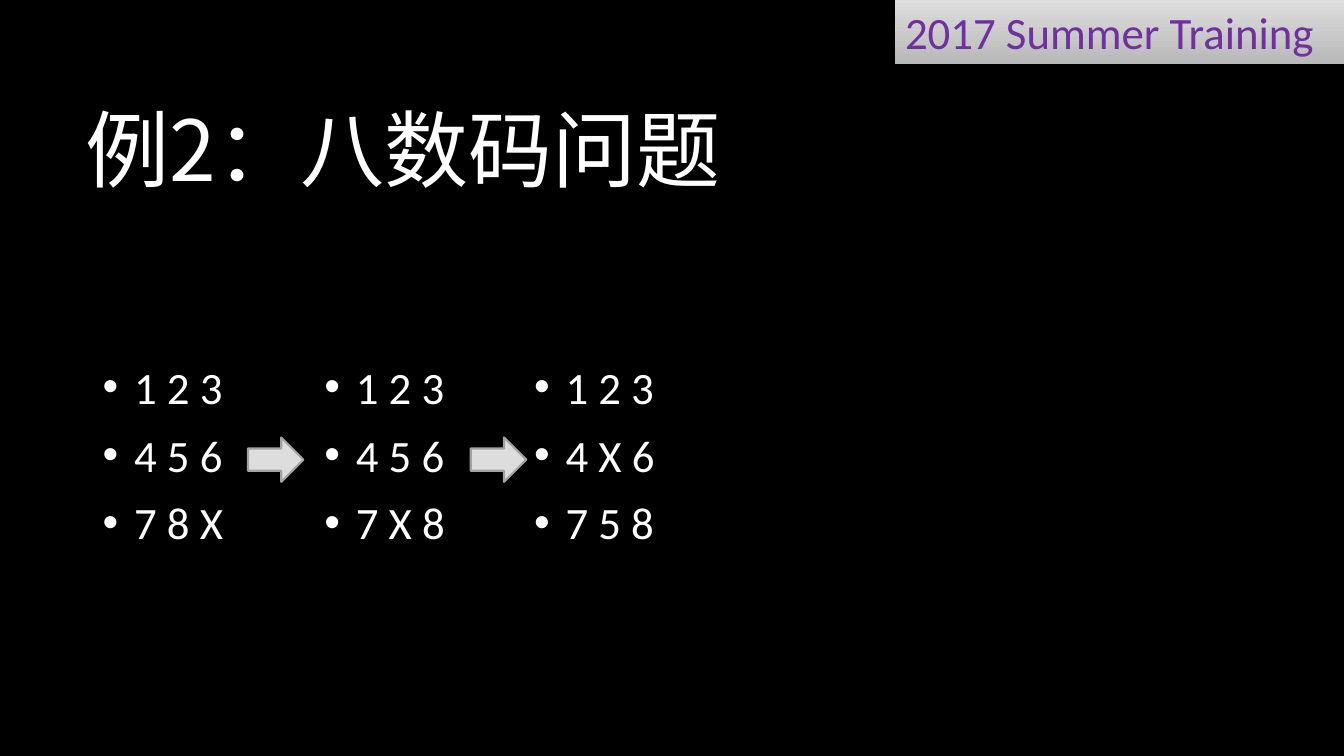
from dataclasses import dataclass

from lxml import etree
from pptx import Presentation
from pptx.dml.color import RGBColor
from pptx.enum import shapes, text
from pptx.oxml import ns
from pptx.util import Pt


@dataclass(frozen=True)
class Theme:
    back: str = "000000"
    ink: str = "FFFFFF"
    label: str = "7030A0"
    light: str = "DEDEDE"
    dark: str = "B8B8B8"
    arrow: str = "DDDDDD"
    edge: str = "A3A3A3"
    font: str = "Calibri"
    cjk: str = "Noto Sans CJK JP"
    head: int = 60
    body: int = 32


THEME = Theme()
BOARDS = [
    (66.24, ["1 2 3", "4 5 6", "7 8 X"]),
    (224.64, ["1 2 3", "4 5 6", "7 X 8"]),
    (374.4, ["1 2 3", "4 X 6", "7 5 8"]),
]
ARROWS = [177.12, 336.24]


def apply(item, values):
    for name, value in values.items():
        setattr(item, name, value)


def place(shape, left, top, width, height):
    apply(shape, {"left": Pt(left), "top": Pt(top),
                  "width": Pt(width), "height": Pt(height)})


def node(parent, tag, **attrs):
    child = etree.SubElement(parent, ns.qn(tag))
    for key, value in attrs.items():
        child.set(key, str(value))
    return child


def write(para, words, size, color, font):
    run = para.add_run()
    run.text = words
    apply(run.font, {"size": Pt(size), "name": font, "bold": False})
    run.font.color.rgb = RGBColor.from_string(color)
    node(run.font._element, "a:ea", typeface=THEME.cjk)
    para.alignment = text.PP_ALIGN.LEFT


def frame(shape, anchor):
    apply(shape.text_frame, {
        "word_wrap": True,
        "auto_size": text.MSO_AUTO_SIZE.NONE,
        "vertical_anchor": anchor,
    })
    return shape.text_frame


def bullet(para):
    para.space_after = Pt(10)
    props = para._p.get_or_add_pPr()
    props.set("marL", str(Pt(22.5)))
    props.set("indent", str(Pt(-22.5)))
    node(node(props, "a:buClr"), "a:srgbClr", val=THEME.ink)
    node(props, "a:buFont", typeface="Arial")
    node(props, "a:buChar", char="•")


def title(slide, words):
    shape = slide.shapes.title
    place(shape, 54, 48.24, 797.76, 114.48)
    para = frame(shape, text.MSO_ANCHOR.MIDDLE).paragraphs[0]
    write(para, words, THEME.head, THEME.ink, THEME.cjk)


def banner(slide, words):
    shape = slide.shapes.add_shape(
        shapes.MSO_SHAPE.RECTANGLE, Pt(639.36), 0, Pt(320.64), Pt(46.08))
    shape.fill.gradient()
    shape.fill.gradient_angle = 270
    for stop, color, spot in zip(
            shape.fill.gradient_stops, (THEME.light, THEME.dark), (0, 1)):
        stop.color.rgb = RGBColor.from_string(color)
        stop.position = spot
    shape.line.fill.background()
    shape.shadow.inherit = False
    effect = shape._element.spPr.find(ns.qn("a:effectLst"))
    shade = node(effect, "a:outerShdw", blurRad=Pt(5), dist=Pt(3),
                 dir=5400000, rotWithShape=0)
    node(node(shade, "a:srgbClr", val=THEME.back), "a:alpha", val=65000)
    para = frame(shape, text.MSO_ANCHOR.TOP).paragraphs[0]
    write(para, words, THEME.body, THEME.label, THEME.font)


def board(slide, left, rows):
    shape = slide.shapes.add_textbox(
        Pt(left), Pt(180.72), Pt(111.6), Pt(287.28))
    body = frame(shape, text.MSO_ANCHOR.MIDDLE)
    for index, row in enumerate(rows):
        para = body.add_paragraph() if index else body.paragraphs[0]
        write(para, row, THEME.body, THEME.ink, THEME.font)
        bullet(para)


def arrow(slide, left):
    shape = slide.shapes.add_shape(
        shapes.MSO_SHAPE.RIGHT_ARROW,
        Pt(left), Pt(312.48), Pt(39.6), Pt(31.68))
    shape.fill.solid()
    shape.fill.fore_color.rgb = RGBColor.from_string(THEME.arrow)
    shape.line.color.rgb = RGBColor.from_string(THEME.edge)
    shape.line.width = Pt(1.5)
    shape.shadow.inherit = False


def main():
    deck = Presentation()
    apply(deck, {"slide_width": Pt(960), "slide_height": Pt(540)})
    slide = deck.slides.add_slide(deck.slide_layouts[5])
    fill = slide.background.fill
    fill.solid()
    fill.fore_color.rgb = RGBColor.from_string(THEME.back)
    banner(slide, "2017 Summer Training")
    title(slide, "例2：八数码问题")
    for left, rows in BOARDS:
        board(slide, left, rows)
    for left in ARROWS:
        arrow(slide, left)
    deck.save("out.pptx")


if __name__ == "__main__":
    main()
